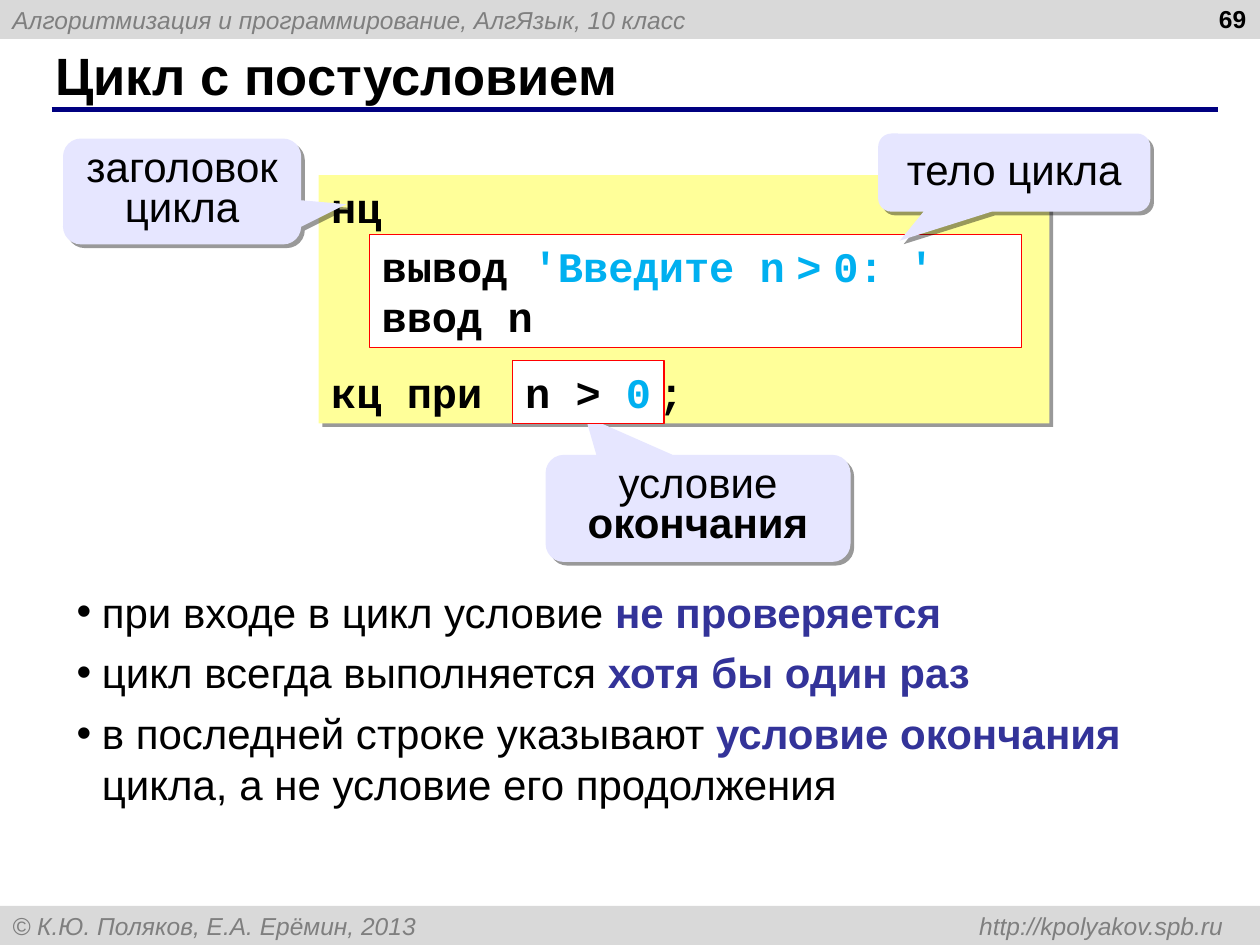
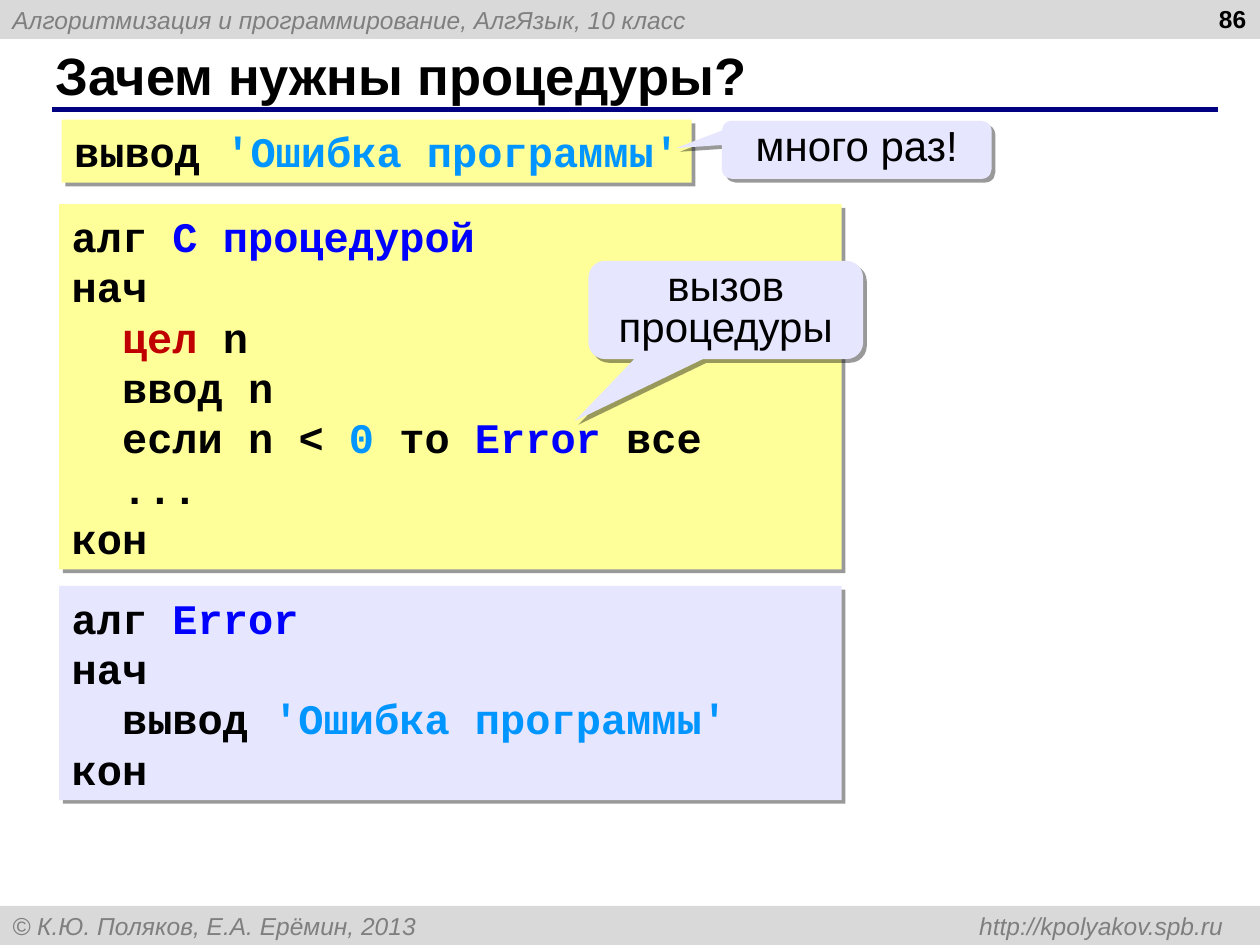
from lxml import etree
from pptx import Presentation
from pptx.dml.color import RGBColor
from pptx.enum.shapes import MSO_CONNECTOR, MSO_SHAPE
from pptx.enum.text import MSO_ANCHOR, PP_ALIGN
from pptx.oxml.ns import qn
from pptx.util import Inches, Pt

RECT, WEDGE = MSO_SHAPE.RECTANGLE, MSO_SHAPE.ROUNDED_RECTANGULAR_CALLOUT
STRAIGHT = MSO_CONNECTOR.STRAIGHT
TOP, MIDDLE = MSO_ANCHOR.TOP, MSO_ANCHOR.MIDDLE
LEFT, CENTER, RIGHT = PP_ALIGN.LEFT, PP_ALIGN.CENTER, PP_ALIGN.RIGHT

BLACK = RGBColor(0, 0, 0)
WHITE = RGBColor(0xFF, 0xFF, 0xFF)
BAND = RGBColor(0xD9, 0xD9, 0xD9)
GREY = RGBColor(0x7F, 0x7F, 0x7F)
NAVY = RGBColor(0, 0, 0x80)
YELLOW = RGBColor(0xFF, 0xFF, 0x99)
LILAC = RGBColor(0xE6, 0xE6, 0xFF)
RED = RGBColor(0xFF, 0, 0)
CRIMSON = RGBColor(0xC0, 0, 0)
BLUE = RGBColor(0, 0, 0xFF)
SKY = RGBColor(0, 0x95, 0xFF)
CYAN = RGBColor(0, 0xB0, 0xF0)
INDIGO = RGBColor(0x33, 0x33, 0x99)

SANS = {"name": "Arial", "size": Pt(24)}
BOLD = {**SANS, "bold": True}
NOTE = {**SANS, "size": Pt(14), "italic": True}
PAGE = {**BOLD, "size": Pt(14)}
HEAD = {**BOLD, "size": Pt(30)}
CODE = {"name": "Courier New", "size": Pt(24), "bold": True}
LINE = Pt(28.8)
WIDE, HIGH, STRIP = 10, 7.5, 0.31


def inches(box):
    """Turn a box of numbers into lengths."""
    return [Inches(v) for v in box]


def tab(para, pos, side):
    """Set one tab stop."""
    stops = etree.SubElement(para._p.get_or_add_pPr(), qn("a:tabLst"))
    etree.SubElement(stops, qn("a:tab"), pos=str(Inches(pos)), algn=side)


def bullet(para):
    """Give a paragraph a round black bullet."""
    props = para._p.get_or_add_pPr()
    props.set("marL", str(Inches(0.2)))
    props.set("indent", str(-Inches(0.2)))
    color = etree.SubElement(props, qn("a:buClr"))
    etree.SubElement(color, qn("a:srgbClr"), val=str(BLACK))
    etree.SubElement(props, qn("a:buFont"), typeface="Arial")
    etree.SubElement(props, qn("a:buChar"), char="•")


def write(shape, paras, style, color=BLACK, align=LEFT, anchor=MIDDLE,
          wrap=True, form=None, **layout):
    """Fill a shape with paragraphs of (text, color, format) runs."""
    frame = shape.text_frame
    frame.word_wrap, frame.vertical_anchor = wrap, anchor
    for i, runs in enumerate(paras):
        para = frame.add_paragraph() if i else frame.paragraphs[0]
        if form:
            form(para)
        for key, value in {"alignment": align, **layout}.items():
            setattr(para, key, value)
        for text, *rest in runs:
            run = para.add_run()
            run.text = text
            run.font.color.rgb = rest[0] if rest else color
            look = {**style, **(rest[1] if len(rest) > 1 else {})}
            for key, value in look.items():
                setattr(run.font, key, value)
    return frame


def block(slide, box, fill, kind=RECT, edge=None, shade=False):
    """Draw a filled shape, with a red edge or a shadow if asked."""
    shape = slide.shapes.add_shape(kind, *inches(box))
    shape.shadow.inherit = False
    shape.fill.solid()
    shape.fill.fore_color.rgb = fill
    if edge:
        shape.line.color.rgb = edge
        shape.line.width = Pt(0.75)
    else:
        shape.line.fill.background()
    if shade:
        effects = shape._element.spPr.find(qn("a:effectLst"))
        drop = etree.SubElement(effects, qn("a:outerShdw"), blurRad="0",
                                dist=str(Pt(3)), dir="2700000",
                                algn="ctr", rotWithShape="0")
        color = etree.SubElement(drop, qn("a:srgbClr"), val="000000")
        etree.SubElement(color, qn("a:alpha"), val="40000")
    return shape


def label(slide, box, text, style, **opts):
    """Add a text box with one line."""
    shape = slide.shapes.add_textbox(*inches(box))
    write(shape, [[(text,)]], style, **opts)


def callout(slide, box, tip, runs, anchor=MIDDLE, space=0.8):
    """Draw a lilac callout whose tip is relative to its box."""
    shape = block(slide, box, LILAC, WEDGE, shade=True)
    for i, value in enumerate((*tip, 0.17)):
        shape.adjustments[i] = value
    write(shape, [runs], SANS, align=CENTER, anchor=anchor,
          line_spacing=space)


def code(slide, box, lines, fill=YELLOW, edge=None, **opts):
    """Draw a panel of code."""
    shape = block(slide, box, fill, edge=edge, shade=not edge)
    return write(shape, lines, CODE, line_spacing=LINE, **opts)


def frame(deck, title, page):
    """Start a slide with bands, title, rule and page number."""
    slide = deck.slides.add_slide(deck.slide_layouts[6])
    bands = (
        (0, "Алгоритмизация и программирование, АлгЯзык, 10 класс", None),
        (HIGH - STRIP,
         "© К.Ю. Поляков, Е.А. Ерёмин, 2013 \thttp://kpolyakov.spb.ru",
         lambda para: tab(para, 9.61, "r")),
    )
    for top, text, form in bands:
        band = block(slide, (0, top, WIDE, STRIP), BAND)
        write(band, [[(text,)]], NOTE, GREY, form=form)
    rule = slide.shapes.add_connector(
        STRAIGHT, *inches((0.41, 0.87, 9.67, 0.87)))
    rule.line.color.rgb = NAVY
    rule.line.width = Pt(3)
    etree.SubElement(rule._element.spPr, qn("a:effectLst"))
    label(slide, (0.34, 0.33, 9.16, 0.52), title, HEAD)
    label(slide, (7.66, -0.02, 2.33, 0.52), page, PAGE,
          align=RIGHT, anchor=TOP)
    return slide


def loop(slide, box):
    """Draw the loop code with its framed parts and callouts."""
    x, y, wide, high = box
    text = code(slide, box, [[("нц",)], [("кц при\t;",)]],
                form=lambda para: tab(para, 2.6, "l"))
    text.paragraphs[1].space_before = Pt(76.8)
    callout(slide, (x + 1.8, y + 2.22, 2.42, 0.85), (-0.37, -0.86),
            [("условие ",), ("окончания", BLACK, BOLD)], TOP)
    callout(slide, (x - 2.03, y - 0.29, 1.89, 0.84), (0.69, 0.12),
            [("заголовок цикла",)], TOP)
    gap = (" ", CYAN, SANS)
    code(slide, (x + 0.4, y + 0.47, 5.18, 0.9),
         [[("вывод ",), ("'Введите n", CYAN), gap, (">", CYAN), gap,
           ("0: '", CYAN)], [("ввод n",)]], WHITE, RED, anchor=TOP)
    code(slide, (x + 1.54, y + high - 0.5, 1.2, 0.5),
         [[("n > ",), ("0", CYAN)]], WHITE, RED, anchor=TOP, wrap=False)
    callout(slide, (x + wide - 1.36, y - 0.33, 2.16, 0.62), (-0.42, 0.87),
            [("тело цикла",)], TOP, 1.0)


def facts(slide, box):
    """List the traits of the loop."""
    shape = slide.shapes.add_textbox(*inches(box))
    write(shape, [
        [("при входе в цикл условие ",), ("не проверяется", INDIGO, BOLD)],
        [("цикл всегда выполняется ",), ("хотя бы один раз", INDIGO, BOLD)],
        [("в последней строке указывают ",),
         ("условие окончания ", INDIGO, BOLD),
         ("цикла, а не условие его продолжения",)],
    ], SANS, form=bullet, line_spacing=LINE, space_after=Pt(6))


def repeat(slide, box):
    """Show the repeated command."""
    x, y, wide, high = box
    code(slide, box, [[("вывод ",), ("'Ошибка программы'", SKY)]],
         anchor=TOP, wrap=False)
    callout(slide, (x + wide + 0.24, y + 0.01, 2.14, high - 0.04),
            (-0.67, -0.03), [("много раз!",)])


def caller(slide, box):
    """Show the program that calls the procedure."""
    x, y = box[:2]
    code(slide, box, [
        [("алг ",), ("С процедурой", BLUE)],
        [("нач",)],
        [("  ",), ("цел ", CRIMSON), ("n",)],
        [("  ввод n",)],
        [("  если n < ",), ("0", SKY), (" то ",), ("Error ", BLUE),
         ("все",)],
        [("  ...",)],
        [("кон",)],
    ])
    callout(slide, (x + 4.2, y + 0.45, 2.18, 0.78), (-0.55, 1.13),
            [("вызов процедуры",)])


def proc(slide, box):
    """Show the procedure itself."""
    code(slide, box, [
        [("алг ",), ("Error", BLUE)],
        [("нач",)],
        [("  вывод ",), ("'Ошибка программы'", SKY)],
        [("кон",)],
    ], LILAC)


def main():
    """Build and save the slides."""
    deck = Presentation()
    deck.slide_width, deck.slide_height = inches((WIDE, HIGH))
    slide = frame(deck, "Цикл с постусловием", "69")
    loop(slide, (2.53, 1.39, 5.8, 1.97))
    facts(slide, (0.51, 4.6, 9.01, 1.87))
    slide = frame(deck, "Зачем нужны процедуры?", "86")
    repeat(slide, (0.49, 0.95, 5, 0.5))
    caller(slide, (0.47, 1.62, 6.21, 2.9))
    proc(slide, (0.47, 4.65, 6.21, 1.7))
    deck.save("out.pptx")


if __name__ == "__main__":
    main()
